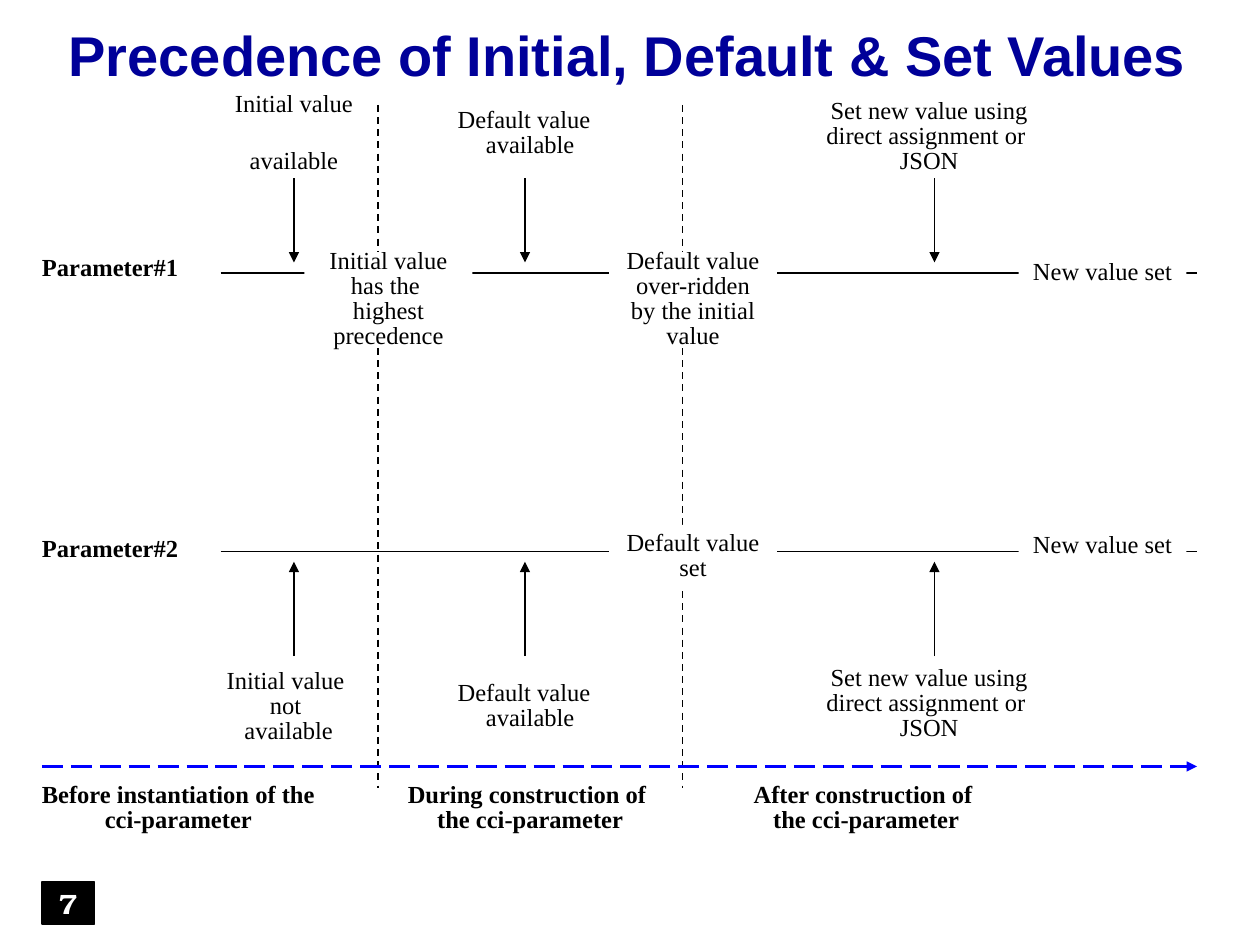
from dataclasses import dataclass

from lxml.etree import SubElement
from pptx import Presentation
from pptx.dml.color import RGBColor
from pptx.enum.dml import MSO_LINE
from pptx.enum.shapes import MSO_CONNECTOR, MSO_SHAPE
from pptx.enum.text import MSO_ANCHOR, PP_ALIGN
from pptx.oxml.ns import qn
from pptx.util import Inches, Pt


@dataclass(frozen=True)
class Theme:
    """Colours, fonts and type sizes of the slide."""
    ink: str = "000000"
    paper: str = "FFFFFF"
    navy: str = "000099"
    blue: str = "0000FF"
    head: str = "Arial"
    body: str = "Times New Roman"
    badge: str = "TeX Gyre Bonum"
    large: int = 32
    mid: int = 16
    small: int = 14
    thin: float = 0.75
    tight: float = 0.85


class Board:
    """Draws on a slide with a grid of 120 columns and 90 rows."""

    def __init__(self, deck, theme):
        """Add a blank slide and work out the grid."""
        self.theme = theme
        self.slide = deck.slides.add_slide(deck.slide_layouts[6])
        self.col = deck.slide_width / 120
        self.row = deck.slide_height / 90

    def spot(self, x, y):
        """Turn a column and a row into a place on the slide."""
        return round(x * self.col), round(y * self.row)

    def letter(self, shape, text, font, size, color, bold, tight=None):
        """Put centred, styled text in a shape."""
        frame = shape.text_frame
        frame.text = text
        frame.vertical_anchor = MSO_ANCHOR.MIDDLE
        for para in frame.paragraphs:
            para.alignment = PP_ALIGN.CENTER
            para.line_spacing = tight
            for run in para.runs:
                run.font.name = font
                run.font.size = Pt(size)
                run.font.bold = bold
                run.font.color.rgb = RGBColor.from_string(color)

    def label(self, box, text, bold=False, fill=False):
        """Add a body label, on a paper patch if filled."""
        look = self.theme
        shape = self.slide.shapes.add_textbox(*self.spot(*box[:2]), *self.spot(*box[2:]))
        shape.text_frame.word_wrap = True
        if fill:
            shape.fill.solid()
            shape.fill.fore_color.rgb = RGBColor.from_string(look.paper)
        self.letter(shape, text, look.body, look.small, look.ink, bold, look.tight)
        return shape

    def title(self, box, text):
        """Add the slide title."""
        look = self.theme
        shape = self.label(box, text)
        self.letter(shape, text, look.head, look.large, look.navy, True, look.tight)

    def badge(self, box, text):
        """Add the page number on a dark block."""
        look = self.theme
        shape = self.slide.shapes.add_shape(
            MSO_SHAPE.RECTANGLE, *self.spot(*box[:2]), *self.spot(*box[2:]))
        shape.shadow.inherit = False
        shape.fill.solid()
        shape.fill.fore_color.rgb = RGBColor.from_string(look.ink)
        shape.line.color.rgb = RGBColor.from_string(look.ink)
        shape.line.width = Pt(look.thin)
        shape.text_frame.word_wrap = False
        self.letter(shape, text, look.badge, look.mid, look.paper, True)

    def line(self, start, end, color=None, width=None, dash=None, arrow=False):
        """Add a straight line, with an arrowhead at its end if asked."""
        look = self.theme
        link = self.slide.shapes.add_connector(
            MSO_CONNECTOR.STRAIGHT, *self.spot(*start), *self.spot(*end))
        link.line.color.rgb = RGBColor.from_string(color or look.ink)
        link.line.width = Pt(width or look.thin)
        if dash:
            link.line.dash_style = dash
        props = link.element.spPr
        if arrow:
            SubElement(props.find(qn("a:ln")), qn("a:tailEnd"), type="triangle")
        SubElement(props, qn("a:effectLst"))


def main():
    """Build and save the slide."""
    deck = Presentation()
    deck.slide_width, deck.slide_height = Inches(10), Inches(7.5)
    theme = Theme()
    board = Board(deck, theme)
    board.title((4, 1.9, 111.6, 7.6), "Precedence of Initial, Default & Set Values")

    for name, axis, top in (("Parameter#1", 26, 24.3), ("Parameter#2", 52.5, 51)):
        board.line((21, axis), (114, axis))
        board.label((2, top, 17, 2.7), name, bold=True)
    for x in (28, 50, 89):
        board.line((x, 17), (x, 25), arrow=True)
        board.line((x, 62.5), (x, 53.5), arrow=True)
    for x in (36, 65):
        board.line((x, 10), (x, 75), width=1, dash=MSO_LINE.DASH)

    board.label((21, 10, 14, 5.5), "Initial value \vavailable")
    board.label((19, 64, 17, 6.6), "Initial value \vnot \vavailable")
    for low, high in ((9.4, 9), (64, 63)):
        board.label((42, low, 17, 6.6), "Default value  \vavailable")
        board.label((77, high, 23, 8), "Set new value using direct assignment or \vJSON")

    states = (
        (29, 24, 9, "Initial value\vhas the \vhighest\vprecedence"),
        (58, 24, 9, "Default value\vover-ridden\vby the initial\vvalue"),
        (58, 50, 6, "Default value\vset"),
        (97, 24, 4, "New value set"),
        (97, 50, 4, "New value set"),
    )
    for x, y, high, text in states:
        board.label((x, y, 16, high), text, fill=True)

    phases = (
        (2, 30, "Before instantiation of the\vcci-parameter"),
        (37, 27, "During construction of \vthe cci-parameter"),
        (69, 27, "After construction of \vthe cci-parameter"),
    )
    for x, wide, text in phases:
        board.label((x, 74, wide, 6), text, bold=True)
    board.line((4, 73), (114, 73), theme.blue, 1.5, MSO_LINE.LONG_DASH, True)
    board.badge((4, 84, 5, 4), "7")
    deck.save("out.pptx")


if __name__ == "__main__":
    main()
